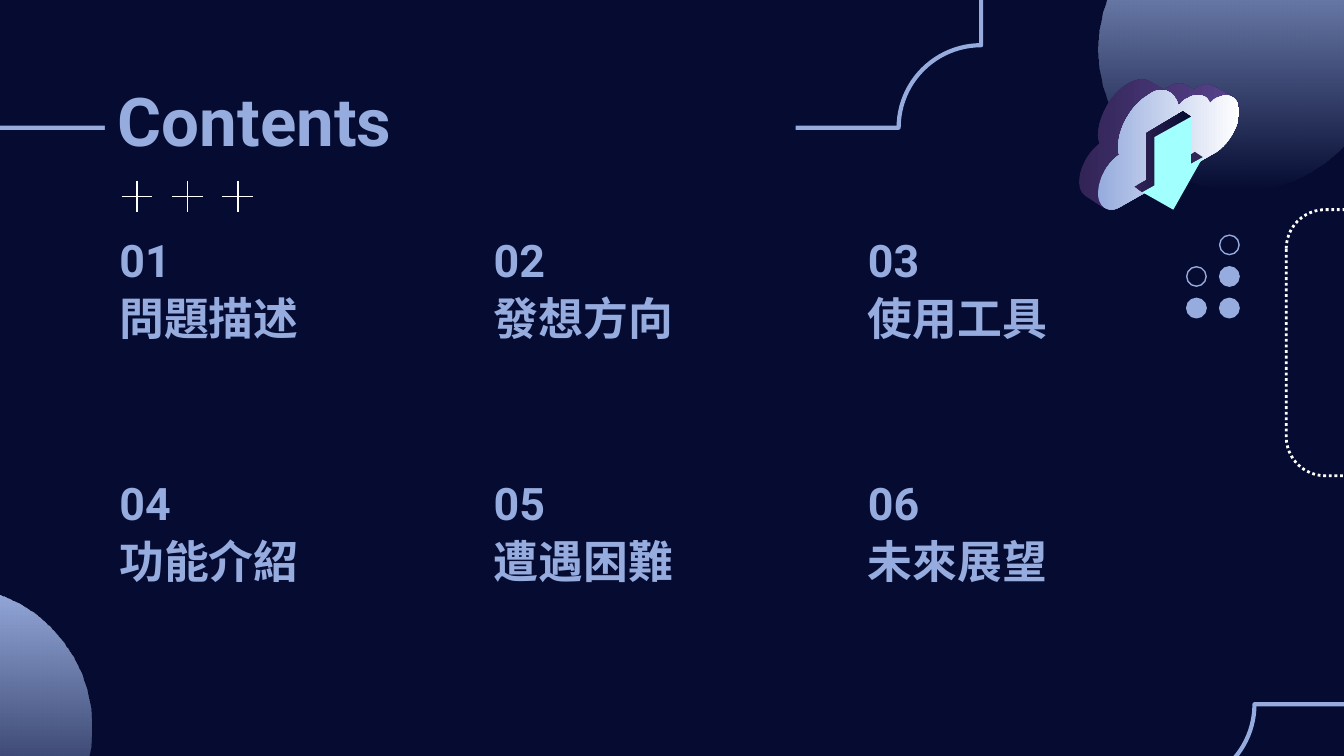
from lxml.etree import SubElement
from pptx import Presentation
from pptx.dml.color import RGBColor
from pptx.enum.dml import MSO_LINE
from pptx.enum.shapes import MSO_CONNECTOR, MSO_SHAPE
from pptx.enum.text import MSO_ANCHOR, PP_ALIGN
from pptx.oxml.ns import qn
from pptx.util import Inches, Pt

# The slide is a fine grid of 1000 columns by 562.5 rows; lengths count its cells.
CELL = Inches(10) / 1000
SLIDE_COLUMNS, SLIDE_ROWS = 1000, 562.5

NAVY = RGBColor(0x05, 0x0B, 0x31)
PERIWINKLE = RGBColor(0x97, 0xAC, 0xDE)
WHITE = RGBColor(0xFF, 0xFF, 0xFF)
PLUM = RGBColor(0x32, 0x24, 0x57)
VIOLET = RGBColor(0x57, 0x42, 0x8A)
AQUA = RGBColor(0xA1, 0xFF, 0xFD)

FONT = "Roboto"
TOPICS = ["問題描述", "發想方向", "使用工具", "功能介紹", "遭遇困難", "未來展望"]
TOPIC_COLUMNS = 3

# Outlines: a pair is a straight step, six numbers are a Bézier curve.
CLOUD_SIDE = [
    (850, 59), (847, 59, 844, 60, 840, 62), (827, 69, 817, 87, 817, 101),
    (817, 103, 818, 105, 818, 107), (810, 113, 803, 125, 803, 135),
    (803, 141, 805, 144, 808, 146), (822, 155), (840, 110), (860, 80),
    (877, 85), (905, 80), (917, 72), (902, 64),
    (898, 62, 893, 63, 888, 67), (882, 63), (877, 61, 871, 63, 866, 67),
    (856, 61), (854, 60, 852, 59, 850, 59),
]
CLOUD_FRONT = [
    (864, 67), (861, 67, 858, 68, 854, 71), (842, 78, 832, 95, 832, 109),
    (832, 112, 832, 114, 833, 115), (824, 121, 817, 133, 817, 144),
    (817, 151, 821, 156, 827, 156), (829, 156, 832, 155, 835, 153),
    (905, 113), (914, 107, 922, 94, 922, 83), (922, 76, 918, 71, 912, 71),
    (910, 71, 908, 72, 905, 73), (903, 74, 902, 76, 900, 77),
    (899, 73, 896, 71, 892, 71), (889, 71, 887, 71, 884, 73),
    (881, 74, 879, 76, 877, 79), (875, 72, 871, 67, 864, 67),
]
ARROW_NOTCH = [(889, 113), (880, 119), (886, 122), (895, 117)]
ARROW_SIDE = [(880, 83), (853, 99), (853, 134), (844, 139), (850, 143),
              (859, 138), (859, 102), (886, 87)]
ARROW_FRONT = [(886, 87), (859, 102), (859, 138), (850, 143), (873, 156),
               (895, 117), (886, 122)]


def cells(*counts):
    return [round(count * CELL) for count in counts]


def style(shape, fill=None, line=None, width=0.75):
    shape.shadow.inherit = False
    if fill is None:
        shape.fill.background()
    else:
        shape.fill.solid()
        shape.fill.fore_color.rgb = fill
    if line is None:
        shape.line.fill.background()
    else:
        shape.line.color.rgb = line
        shape.line.width = Pt(width)


def set_gradient(shape, first, last, angle=0):
    shape.fill.gradient()
    shape.fill.gradient_angle = angle
    for stop, color in zip(shape.fill.gradient_stops, (first, last)):
        stop.color.rgb = color


def add_preset(slide, kind, box, adjustment=None, **look):
    shape = slide.shapes.add_shape(kind, *cells(*box))
    if adjustment is not None:
        shape.adjustments[0] = adjustment
    style(shape, **look)
    return shape


def add_fading_disc(slide, left, top):
    """Draw a large disc that fades to transparent at its foot."""
    disc = add_preset(slide, MSO_SHAPE.OVAL, (left, top, 211, 211))
    set_gradient(disc, PERIWINKLE, PERIWINKLE, angle=270)
    last_color = list(disc._element.spPr.iter(qn("a:srgbClr")))[-1]
    SubElement(last_color, qn("a:alpha"), val="0")


def trace(outline, steps=10):
    """Turn straight steps and Bézier curves into a list of points."""
    points = [outline[0]]
    for segment in outline[1:]:
        if len(segment) == 2:
            points.append(segment)
            continue
        start = points[-1]
        for step in range(1, steps + 1):
            t = step / steps
            u = 1 - t
            points.append(tuple(
                u**3 * start[axis] + 3 * u * u * t * segment[axis]
                + 3 * u * t * t * segment[axis + 2] + t**3 * segment[axis + 4]
                for axis in (0, 1)))
    return points


def add_outline(slide, outline, fill=None, gradient=None):
    first, *rest = [cells(*point) for point in trace(outline)]
    builder = slide.shapes.build_freeform(*first)
    builder.add_line_segments(rest, close=True)
    shape = builder.convert_to_shape()
    style(shape, fill=fill)
    if gradient:
        set_gradient(shape, *gradient)


def write(shape, text, size, anchor):
    frame = shape.text_frame
    frame.word_wrap = True
    frame.vertical_anchor = anchor
    frame.margin_left = frame.margin_right = Inches(0.1)
    frame.margin_top = frame.margin_bottom = Inches(0.1)
    paragraph = frame.paragraphs[0]
    paragraph.text = text
    paragraph.alignment = PP_ALIGN.LEFT
    font = paragraph.font
    font.name, font.size, font.bold = FONT, Pt(size), True
    font.color.rgb = PERIWINKLE


def add_label(slide, box, text):
    write(slide.shapes.add_textbox(*cells(*box)), text, 24, MSO_ANCHOR.BOTTOM)


def add_line(slide, *ends):
    line = slide.shapes.add_connector(MSO_CONNECTOR.STRAIGHT, *cells(*ends))
    line.line.color.rgb = WHITE
    line.line.width = Pt(0.75)
    SubElement(line._element.spPr, qn("a:effectLst"))


def add_plus(slide, x, y, arm=11.5):
    add_line(slide, x, y - arm, x, y + arm)
    add_line(slide, x - arm, y, x + arm, y)


def add_backdrop(slide):
    add_fading_disc(slide, 817, -69)
    frame = add_preset(slide, MSO_SHAPE.ROUNDED_RECTANGLE, (957, 156, 135, 198),
                       0.215, line=WHITE, width=1.5)
    frame.line.dash_style = MSO_LINE.ROUND_DOT
    add_fading_disc(slide, -143, 436)
    for box in ((872, 524, 211, 198), (-78, -103, 808, 198)):
        add_preset(slide, MSO_SHAPE.PLAQUE, box, 0.31, line=PERIWINKLE, width=2.25)


def add_topics(slide):
    for index, topic in enumerate(TOPICS):
        row, column = divmod(index, TOPIC_COLUMNS)
        left, top = 79 + 278.5 * column, 162 + 181 * row
        add_label(slide, (left, top, 164, 61), f"{index + 1:02}")
        add_label(slide, (left, top + 46, 263, 58), topic)


def add_cloud_icon(slide):
    add_outline(slide, CLOUD_SIDE, gradient=(PLUM, VIOLET))
    add_outline(slide, CLOUD_FRONT, gradient=(PERIWINKLE, WHITE))
    add_outline(slide, ARROW_NOTCH, fill=PLUM)
    add_outline(slide, ARROW_SIDE, gradient=(PLUM, NAVY))
    add_outline(slide, ARROW_FRONT, fill=AQUA)


def add_dots(slide):
    """Draw a staircase of dots, hollow along its upper edge."""
    for column, row in ((1, 0), (0, 1), (1, 1), (0, 2), (1, 2)):
        add_preset(slide, MSO_SHAPE.OVAL,
                   (883 + 24.5 * column, 175 + 23.5 * row, 14.5, 14.5),
                   fill=PERIWINKLE if column + row > 1 else None, line=PERIWINKLE)


def main():
    presentation = Presentation()
    presentation.slide_width, presentation.slide_height = cells(SLIDE_COLUMNS, SLIDE_ROWS)
    slide = presentation.slides.add_slide(presentation.slide_layouts[6])
    slide.background.fill.solid()
    slide.background.fill.fore_color.rgb = NAVY

    add_backdrop(slide)
    title = add_preset(slide, MSO_SHAPE.RECTANGLE, (78, 49, 514, 81), fill=NAVY)
    write(title, "Contents", 36, MSO_ANCHOR.TOP)
    add_topics(slide)
    add_cloud_icon(slide)
    add_dots(slide)
    for index in range(3):
        add_plus(slide, 102 + 37.5 * index, 146)
    presentation.save("out.pptx")


if __name__ == "__main__":
    main()
